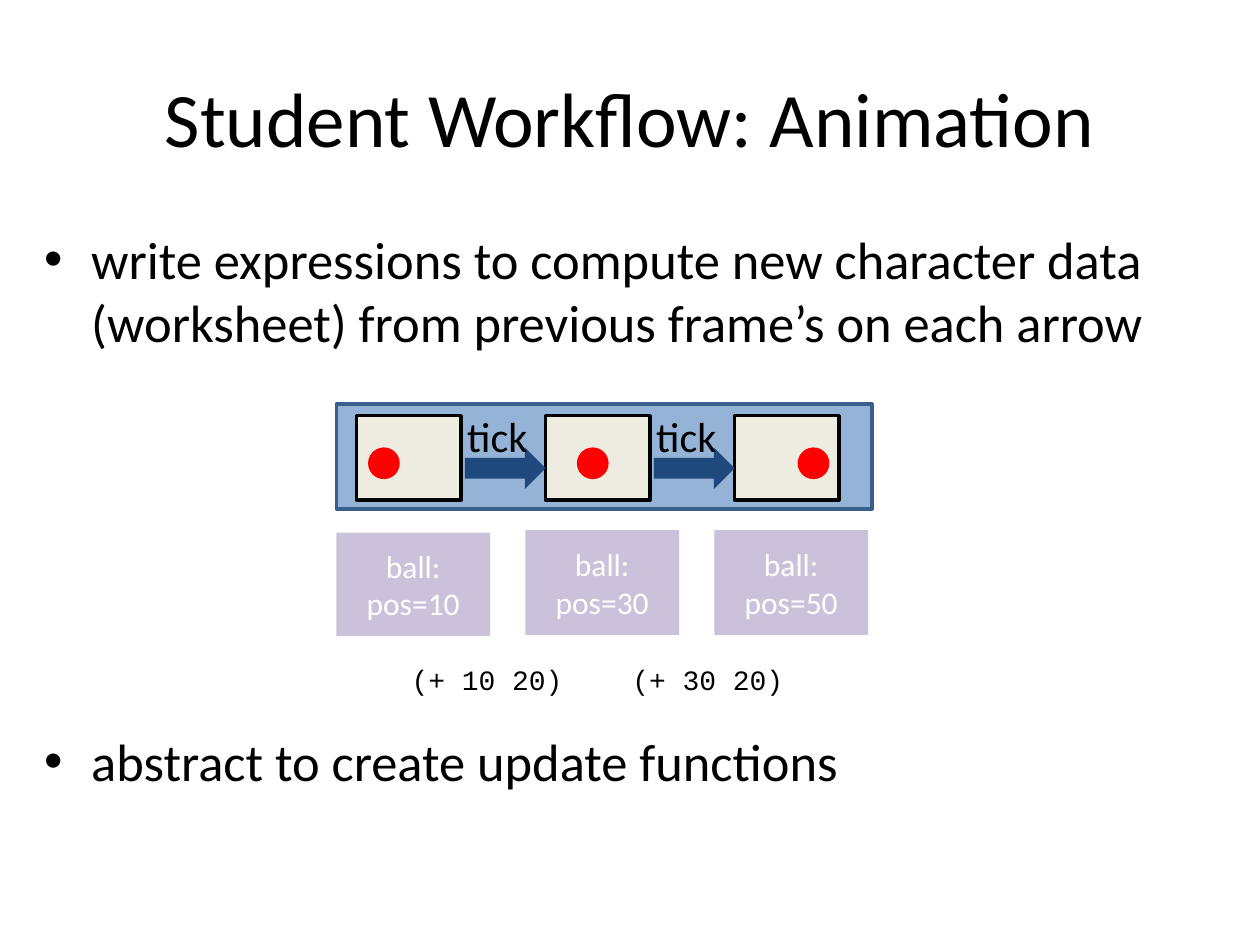
from pptx import Presentation
from pptx import util as u
from pptx.dml.color import RGBColor
from pptx.enum import shapes, text
from pptx.oxml import parse_xml
from pptx.oxml.ns import nsdecls

BLACK = RGBColor(0x00, 0x00, 0x00)
WHITE = RGBColor(0xFF, 0xFF, 0xFF)
RED = RGBColor(0xFF, 0x00, 0x00)
NAVY = RGBColor(0x1F, 0x49, 0x7D)
STRIP_BLUE = RGBColor(0x95, 0xB3, 0xD7)
STRIP_EDGE = RGBColor(0x3A, 0x5F, 0x8C)
CREAM = RGBColor(0xEE, 0xEC, 0xE1)
LILAC = RGBColor(0xCC, 0xC1, 0xDA)
KIND = shapes.MSO_SHAPE
CENTER = text.PP_ALIGN.CENTER
STEP = 3.81

deck = Presentation()
deck.slide_width, deck.slide_height = u.Cm(25.4), u.Cm(19.05)
page = deck.slides.add_slide(deck.slide_layouts[6])


def add_shape(kind, place, fill, edge=None):
    shape = page.shapes.add_shape(kind, *map(u.Cm, place))
    shape.shadow.inherit = False
    shape.fill.solid()
    shape.fill.fore_color.rgb = fill
    if edge is None:
        shape.line.fill.background()
    else:
        shape.line.color.rgb = edge
        shape.line.width = u.Pt(2)
    return shape


def write(box, lines, size, color=BLACK, font="Calibri", align=None, middle=False, wrap=True):
    frame = box.text_frame
    frame.word_wrap = wrap
    frame.vertical_anchor = text.MSO_ANCHOR.MIDDLE if middle else text.MSO_ANCHOR.TOP
    for index, line in enumerate(lines):
        para = frame.add_paragraph() if index else frame.paragraphs[0]
        para.alignment = align
        span = para.add_run()
        span.text = line
        for name, value in {"name": font, "size": u.Pt(size)}.items():
            setattr(span.font, name, value)
        span.font.color.rgb = color
    return frame


title = page.shapes.add_textbox(u.Cm(1.27), u.Cm(0.76), u.Cm(22.86), u.Cm(3.18))
write(title, ["Student Workflow: Animation"], 44, align=CENTER, middle=True)

body = page.shapes.add_textbox(u.Cm(0.64), u.Cm(4.45), u.Cm(24.13), u.Cm(13.97))
bullets = write(body, [
    "write expressions to compute new character data (worksheet) from previous frame\u2019s on each arrow",
    "abstract to create update functions",
], 30)
for para in bullets.paragraphs:
    props = para._p.get_or_add_pPr()
    props.set("marL", str(u.Cm(0.95)))
    props.set("indent", str(u.Cm(-0.95)))
    props.append(parse_xml(f'<a:buFont {nsdecls("a")} typeface="Arial"/>'))
    props.append(parse_xml(f'<a:buChar {nsdecls("a")} char="\u2022"/>'))
bullets.paragraphs[1].space_before = u.Pt(215)

for left, formula in ((8.05, "(+ 10 20)"), (12.5, "(+ 30 20)")):
    box = page.shapes.add_textbox(u.Cm(left), u.Cm(13.23), u.Cm(3.61), u.Cm(0.94))
    write(box, [formula], 16, font="Courier New")

add_shape(KIND.RECTANGLE, (6.78, 8.15, 10.8, 2.11), STRIP_BLUE, STRIP_EDGE)
for index, ball_left in enumerate((7.42, 11.63, 16.08)):
    add_shape(KIND.RECTANGLE, (7.19 + index * STEP, 8.38, 2.11, 1.7), CREAM, BLACK)
    add_shape(KIND.OVAL, (ball_left, 9.02, 0.64, 0.64), RED)

for index in range(2):
    add_shape(KIND.RIGHT_ARROW, (9.37 + index * STEP, 9.02, 1.63, 0.84), NAVY)
    tick = page.shapes.add_textbox(u.Cm(9.17 + index * STEP), u.Cm(8.15), u.Cm(1.75), u.Cm(1.27))
    write(tick, ["tick"], 24, wrap=False)

for index, (top, height, position) in enumerate(((10.74, 2.08, 10), (10.69, 2.11, 30), (10.69, 2.11, 50))):
    card = add_shape(KIND.RECTANGLE, (6.78 + index * STEP, top, 3.1, height), LILAC)
    write(card, [f"ball: pos={position}"], 18, WHITE, align=CENTER, middle=True)

deck.save("out.pptx")
